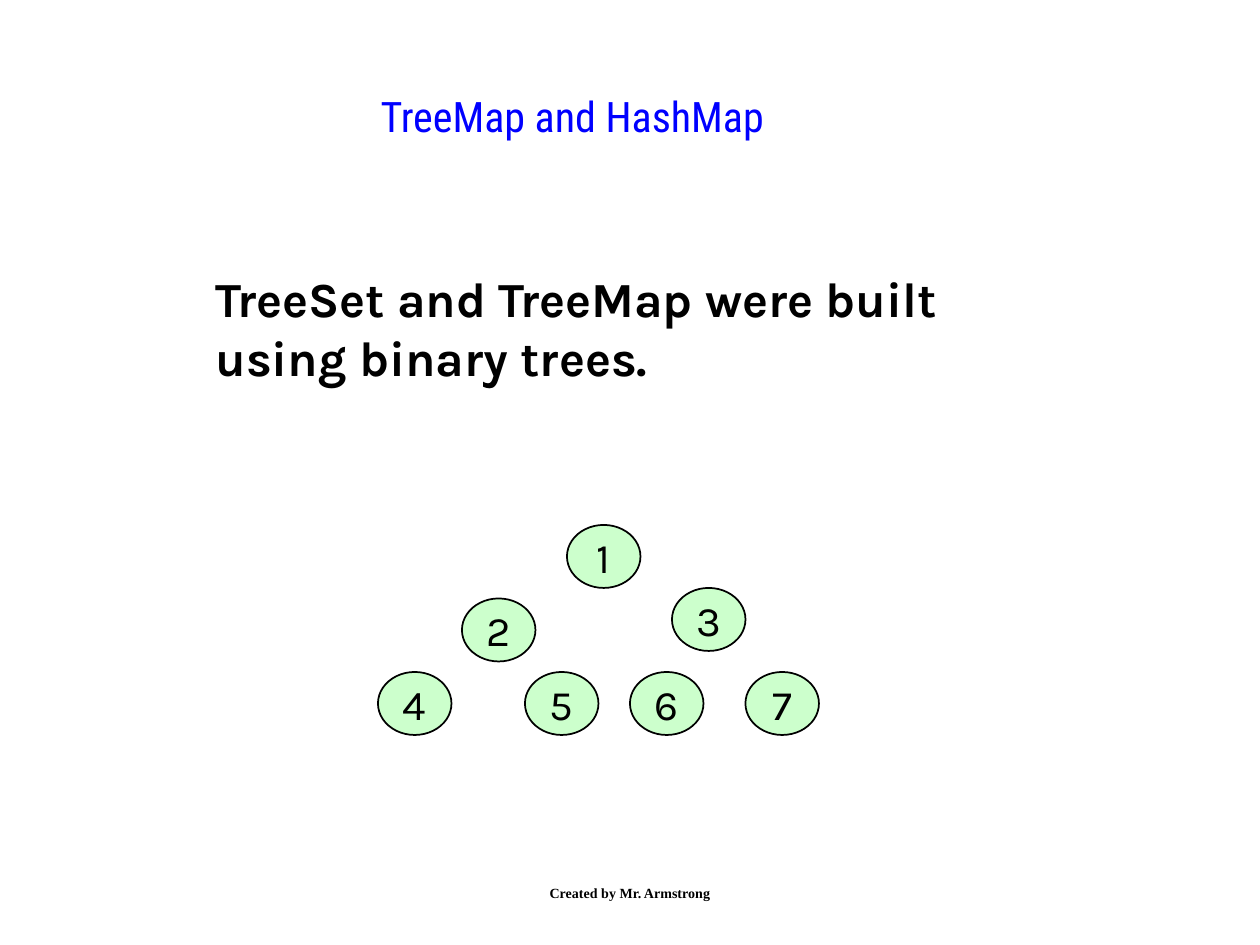
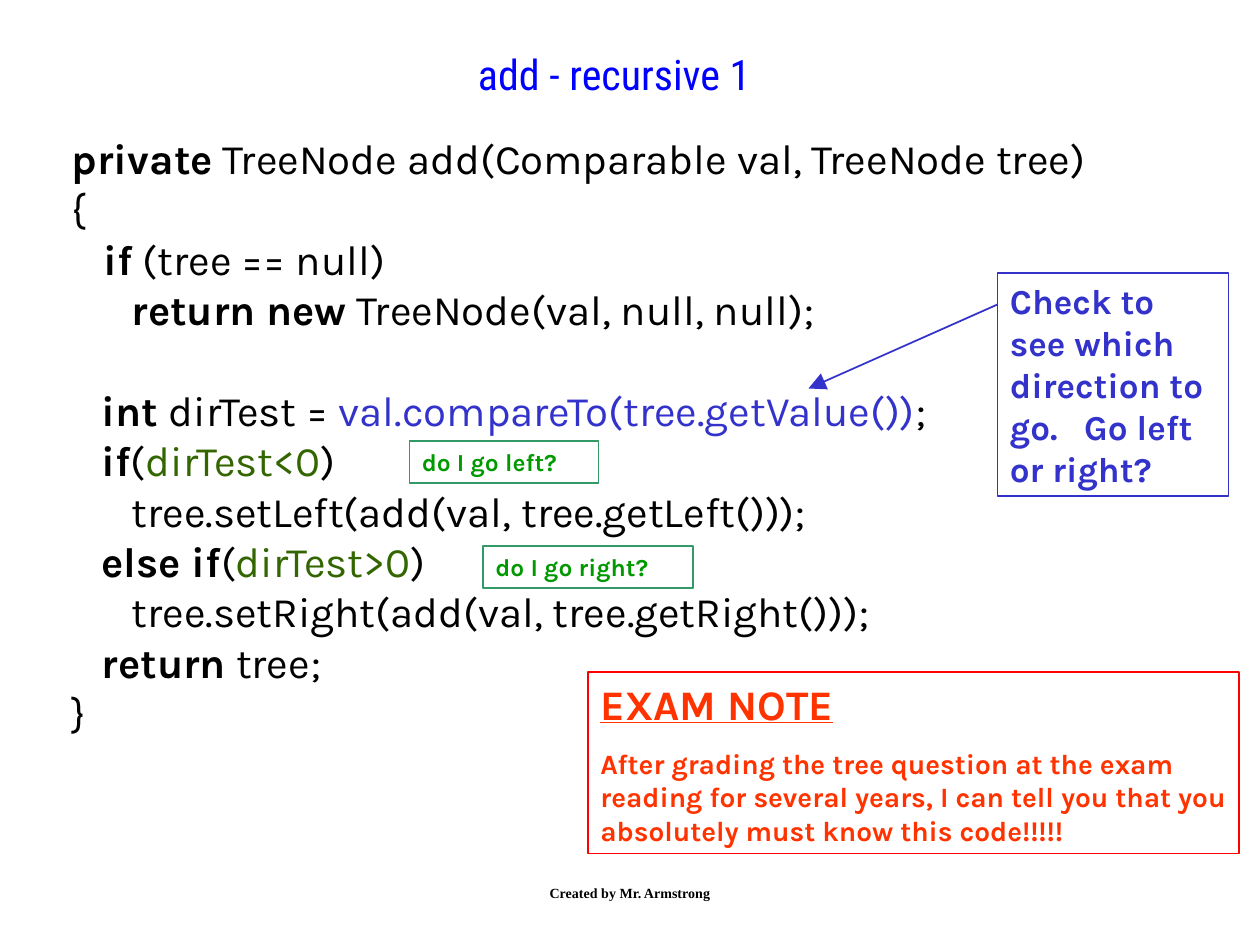
"""Build two slides on binary trees."""
from lxml import etree
from pptx import Presentation
from pptx import util as u
from pptx.dml import color
from pptx.enum import shapes, text
from pptx.oxml import ns

COLOURS = {
    "black": "000000", "title": "0000FF", "node": "CCFFCC", "call": "3333CC",
    "test": "336600", "hint": "009900", "hint_line": "339966",
    "note": "FF3300", "note_line": "FF0000",
}
BODY_FONT, TITLE_FONT, FOOTER_FONT = "Karla", "Roboto Condensed", "Times New Roman"
LEFT, CENTRE = text.PP_ALIGN.LEFT, text.PP_ALIGN.CENTER
TOP, MIDDLE = text.MSO_ANCHOR.TOP, text.MSO_ANCHOR.MIDDLE
BLANK_LINE = 28.8

NODE_SIZE = (42, 36)
TREE_NODES = {
    "1": (108, 0), "2": (48, 42), "3": (168, 36),
    "4": (0, 84), "5": (84, 84), "6": (144, 84), "7": (210, 84),
}


def rgb(name):
    """Return the named colour."""
    return color.RGBColor.from_string(COLOURS[name])


def add_run(paragraph, words, size, colour="black", bold=False, font=BODY_FONT, underline=False):
    """Add one formatted run to a paragraph."""
    run = paragraph.add_run()
    run.text = words
    run.font.size = u.Pt(size)
    run.font.name = font
    run.font.bold = bold
    run.font.underline = underline
    run.font.color.rgb = rgb(colour)


def prepare_frame(shape, align=LEFT, anchor=TOP, wrap=True):
    """Set the layout of a shape's text and return its frame."""
    frame = shape.text_frame
    frame.word_wrap = wrap
    frame.vertical_anchor = anchor
    frame.paragraphs[0].alignment = align
    return frame


def add_label(slide, box, words, size, align=LEFT, anchor=TOP, **style):
    """Add a text box holding a single run."""
    shape = slide.shapes.add_textbox(*map(u.Pt, box))
    frame = prepare_frame(shape, align, anchor)
    add_run(frame.paragraphs[0], words, size, **style)


def add_outlined(slide, kind, box, line, fill=None):
    """Add a preset shape with a one-point outline."""
    shape = slide.shapes.add_shape(kind, *map(u.Pt, box))
    shape.shadow.inherit = False
    shape.line.color.rgb = rgb(line)
    shape.line.width = u.Pt(1)
    if fill:
        shape.fill.solid()
        shape.fill.fore_color.rgb = rgb(fill)
    else:
        shape.fill.background()
    return shape


def add_callout(slide, box, line, runs):
    """Add an outlined box with one paragraph per run."""
    shape = add_outlined(slide, shapes.MSO_SHAPE.RECTANGLE, box, line)
    frame = prepare_frame(shape)
    for index, (words, style) in enumerate(runs):
        paragraph = frame.add_paragraph() if index else frame.paragraphs[0]
        paragraph.alignment = LEFT
        if index:
            paragraph.space_before = u.Pt(10)
        add_run(paragraph, words, bold=True, **style)


def add_arrow(slide, start, end, colour):
    """Add a straight line ending in a large triangular arrowhead."""
    arrow = slide.shapes.add_connector(
        shapes.MSO_CONNECTOR.STRAIGHT, *map(u.Pt, (*start, *end)))
    arrow.line.color.rgb = rgb(colour)
    arrow.line.width = u.Pt(1)
    line = arrow.line._get_or_add_ln()
    etree.SubElement(line, ns.qn("a:tailEnd"), type="triangle", w="lg", len="lg")
    etree.SubElement(arrow._element.spPr, ns.qn("a:effectLst"))


def add_base_slide(presentation, title, title_box):
    """Add a blank slide with its title and footer."""
    slide = presentation.slides.add_slide(presentation.slide_layouts[6])
    add_label(slide, title_box, title, 24, CENTRE, colour="title", font=TITLE_FONT)
    add_label(slide, (246, 492, 228, 36), "Created by Mr. Armstrong", 8,
              CENTRE, MIDDLE, bold=True, font=FOOTER_FONT)
    return slide


def add_tree(slide, left, top):
    """Place the numbered tree nodes relative to the tree's corner."""
    for number, (x, y) in TREE_NODES.items():
        node = add_outlined(slide, shapes.MSO_SHAPE.OVAL,
                            (left + x, top + y, *NODE_SIZE), "black", "node")
        frame = prepare_frame(node, CENTRE, MIDDLE, wrap=False)
        add_run(frame.paragraphs[0], number, 24)


def add_code(slide, box, lines):
    """Write code lines, each a list of runs, with None for a gap."""
    frame = prepare_frame(slide.shapes.add_textbox(*map(u.Pt, box)))
    paragraph, gap = frame.paragraphs[0], False
    for index, runs in enumerate(lines):
        if runs is None:
            gap = True
            continue
        if index:
            paragraph = frame.add_paragraph()
        if gap:
            paragraph.space_before = u.Pt(BLANK_LINE)
            gap = False
        for words, style in runs:
            add_run(paragraph, words, 24, **style)


def build_map_slide(presentation):
    """Build the slide that introduces the binary tree."""
    slide = add_base_slide(presentation, "TreeMap and HashMap", (132, 48, 390, 54))
    add_label(slide, (116, 150, 460, 108),
              "TreeSet and TreeMap were built using binary trees.", 28, bold=True)
    add_tree(slide, 216, 300)


def build_add_slide(presentation):
    """Build the slide that explains the recursive add method."""
    slide = add_base_slide(presentation, "add - recursive 1", (54, 24, 594, 42))
    plain, keyword = {}, {"bold": True}
    call, test = {"colour": "call"}, {"colour": "test"}
    add_code(slide, (34, 72, 634, 353), [
        [("private", keyword), (" TreeNode add(Comparable val, TreeNode tree)", plain)],
        [("{", plain)],
        [("   if", keyword), (" (tree == null)", plain)],
        [("      ", plain), ("return new", keyword), (" TreeNode(val, null, null);", plain)],
        None,
        [("   ", plain), ("int ", keyword), ("dirTest = ", plain),
         ("val.compareTo(tree.getValue())", call), (";", plain)],
        [("   ", plain), ("if", keyword), ("(", plain), ("dirTest<0", test), (")", plain)],
        [("      tree.setLeft(add(val, tree.getLeft()));", plain)],
        [("   ", plain), ("else if", keyword), ("(", plain), ("dirTest>0", test), (")", plain)],
        [("      tree.setRight(add(val, tree.getRight()));", plain)],
        [("   ", plain), ("return", keyword), (" tree;", plain)],
        [("}", plain)],
    ])
    add_callout(slide, (570, 156, 132, 127.5), "call", [
        ("Check to see which direction to go.   Go left or right?",
         {"size": 20, "colour": "call"})])
    add_arrow(slide, (570, 174), (462, 222), "call")
    hint = {"size": 14, "colour": "hint"}
    add_callout(slide, (234, 252, 108, 24.2), "hint_line", [("do I go left?", hint)])
    add_callout(slide, (276, 312, 120, 24.2), "hint_line", [("do I go right?", hint)])
    add_callout(slide, (336, 384, 372, 103.7), "note_line", [
        ("EXAM NOTE", {"size": 24, "colour": "note", "underline": True}),
        ("After grading the tree question at the exam reading for several years, "
         "I can tell you that you absolutely must know this code!!!!!",
         {"size": 16, "colour": "note"})])


def main():
    """Create and save the presentation."""
    presentation = Presentation()
    presentation.slide_width, presentation.slide_height = u.Pt(720), u.Pt(540)
    build_map_slide(presentation)
    build_add_slide(presentation)
    presentation.save("out.pptx")


if __name__ == "__main__":
    main()
